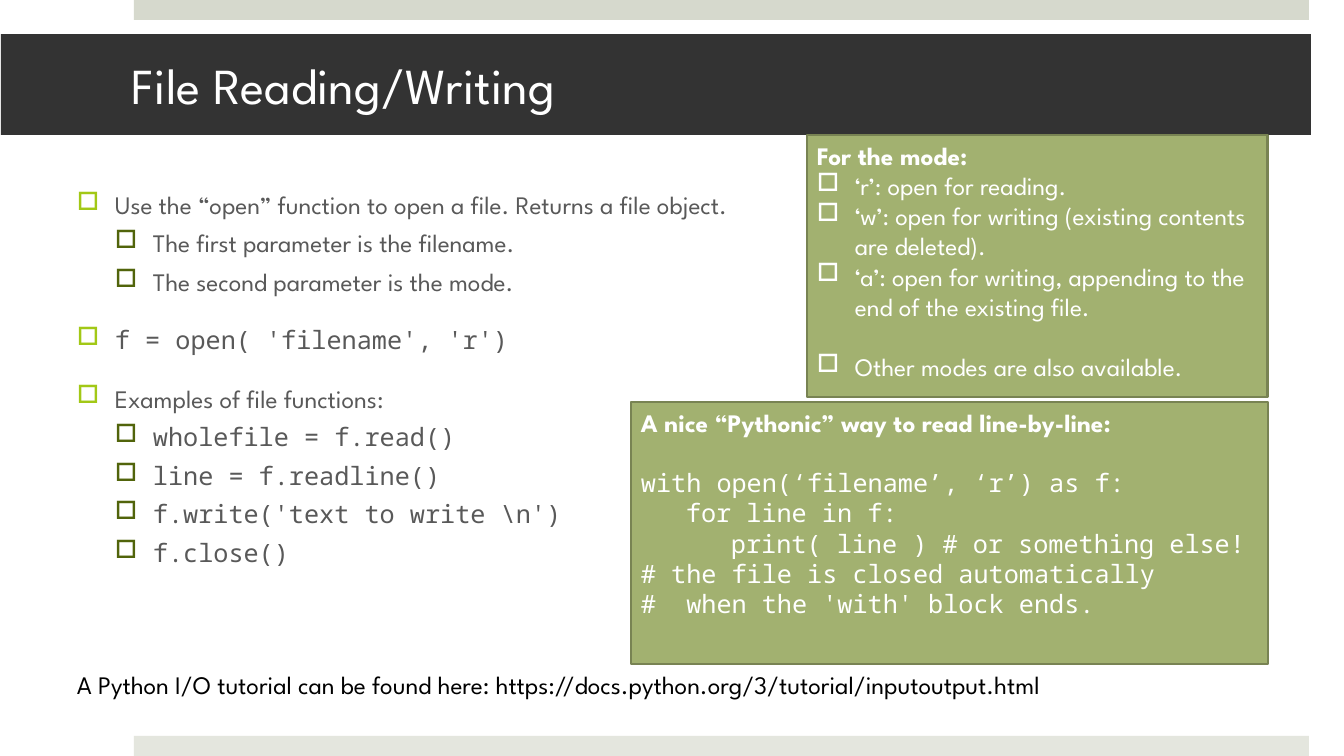
import dataclasses

import pptx
import pptx.dml.color
import pptx.enum.shapes
import pptx.enum.text
import pptx.oxml.ns
import pptx.util
from lxml import etree

EMU_PER_PX = 914400 / 100.8
INDENT = 38       # hanging indent of a bullet, pixels
CODE_STEP = 45    # three monospaced characters, pixels
BLANK_LINE = 21.6  # height of a skipped line, points


@dataclasses.dataclass(frozen=True)
class Theme:
    sans: str = "League Spartan"
    mono: str = "Noto Sans Mono"
    title_size: int = 36
    text_size: int = 18
    white: str = "FFFFFF"
    black: str = "000000"
    grey: str = "595959"
    banner: str = "333333"
    top_bar: str = "D6D9CD"
    bottom_bar: str = "E4E6DE"
    panel: str = "A2B170"
    panel_line: str = "788353"
    bullets: tuple = ("A2C816", "51640B")


THEME = Theme()


@dataclasses.dataclass(frozen=True)
class Line:
    text: str
    font: str = THEME.sans
    bold: bool = False
    level: int = 0
    bullet: str = ""      # bullet colour, none if empty
    left: int = 0         # left indent without a bullet, pixels
    before: float = 0     # space before, points


def px(n):
    return pptx.util.Emu(round(n * EMU_PER_PX))


def rgb(value):
    return pptx.dml.color.RGBColor.from_string(value)


def add_rect(s, box, fill, line=None):
    sp = s.shapes.add_shape(pptx.enum.shapes.MSO_SHAPE.RECTANGLE, *map(px, box))
    sp.shadow.inherit = False
    sp.fill.solid()
    sp.fill.fore_color.rgb = rgb(fill)
    if line:
        sp.line.color.rgb = rgb(line)
        sp.line.width = pptx.util.Pt(2)
    else:
        sp.line.fill.background()
    return sp


def set_indent(p, line):
    pPr = p._p.get_or_add_pPr()
    if not line.bullet:
        pPr.set("marL", str(px(line.left)))
        return
    pPr.set("marL", str(px(INDENT * (line.level + 1))))
    pPr.set("indent", str(px(-INDENT)))
    qn = pptx.oxml.ns.qn
    color = etree.SubElement(pPr, qn("a:buClr"))
    etree.SubElement(color, qn("a:srgbClr")).set("val", line.bullet)
    etree.SubElement(pPr, qn("a:buChar")).set("char", "□")


def write(sp, lines, color, size=THEME.text_size):
    tf = sp.text_frame
    tf.word_wrap = True
    tf.vertical_anchor = pptx.enum.text.MSO_ANCHOR.TOP
    tf.text = "\n".join(line.text for line in lines)
    for p, line in zip(tf.paragraphs, lines):
        p.alignment = pptx.enum.text.PP_ALIGN.LEFT
        p.level = line.level
        p.space_before = pptx.util.Pt(line.before)
        set_indent(p, line)
        font = p.runs[0].font
        font.name, font.size, font.bold = line.font, pptx.util.Pt(size), line.bold
        font.color.rgb = rgb(color)
    return tf


def add_text(s, box, lines, color):
    return write(s.shapes.add_textbox(*map(px, box)), lines, color)


def add_panel(s, box, lines):
    return write(add_rect(s, box, THEME.panel, THEME.panel_line), lines, THEME.white)


def add_title(s, box, text):
    tf = write(add_rect(s, box, THEME.banner), [Line(text)], THEME.white, THEME.title_size)
    tf.vertical_anchor = pptx.enum.text.MSO_ANCHOR.MIDDLE
    tf.margin_left, tf.margin_right = px(131), px(30)


def point(text, level=0, font=THEME.sans):
    return Line(text, font, level=level, bullet=THEME.bullets[level], before=(20, 6)[level])


def mode(text, before=0):
    return Line(text, bullet=THEME.white, before=before)


def code(text, depth=0, before=0):
    return Line(text, THEME.mono, left=depth * CODE_STEP, before=before)


def main():
    prs = pptx.Presentation()
    prs.slide_width, prs.slide_height = px(1344), px(756)
    s = prs.slides.add_slide(prs.slide_layouts[6])

    # Edge bars and title banner
    add_rect(s, (134, 0, 1175, 20), THEME.top_bar)
    add_rect(s, (134, 736, 1175, 20), THEME.bottom_bar)
    add_title(s, (1, 34, 1310, 101), "File Reading/Writing")

    # Main points
    add_text(s, (67, 184, 727, 520), [
        point("Use the “open” function to open a file. Returns a file object."),
        point("The first parameter is the filename.", 1),
        point("The second parameter is the mode.", 1),
        point("f = open( 'filename', 'r')", font=THEME.mono),
        point("Examples of file functions:"),
        point("wholefile = f.read()", 1, THEME.mono),
        point("line = f.readline()", 1, THEME.mono),
        point("f.write('text to write \\n')", 1, THEME.mono),
        point("f.close()", 1, THEME.mono),
    ], THEME.grey)

    # File modes
    add_panel(s, (807, 135, 461, 262), [
        Line("For the mode:", bold=True),
        mode("‘r’: open for reading."),
        mode("‘w’: open for writing (existing contents are deleted)."),
        mode("‘a’: open for writing, appending to the end of the existing file."),
        mode("Other modes are also available.", BLANK_LINE),
    ])

    # Tutorial address
    add_text(s, (67, 664, 1214, 40), [
        Line("A Python I/O tutorial can be found here: "
             "https://docs.python.org/3/tutorial/inputoutput.html"),
    ], THEME.black)

    # Line-by-line example
    add_panel(s, (631, 402, 637, 262), [
        Line("A nice “Pythonic” way to read line-by-line:", bold=True),
        code("with open(‘filename’, ‘r’) as f:", before=BLANK_LINE),
        code("for line in f:", 1),
        code("print( line ) # or something else!", 2),
        code("# the file is closed automatically"),
        code("#  when the 'with' block ends."),
    ])

    prs.save("out.pptx")


main()
